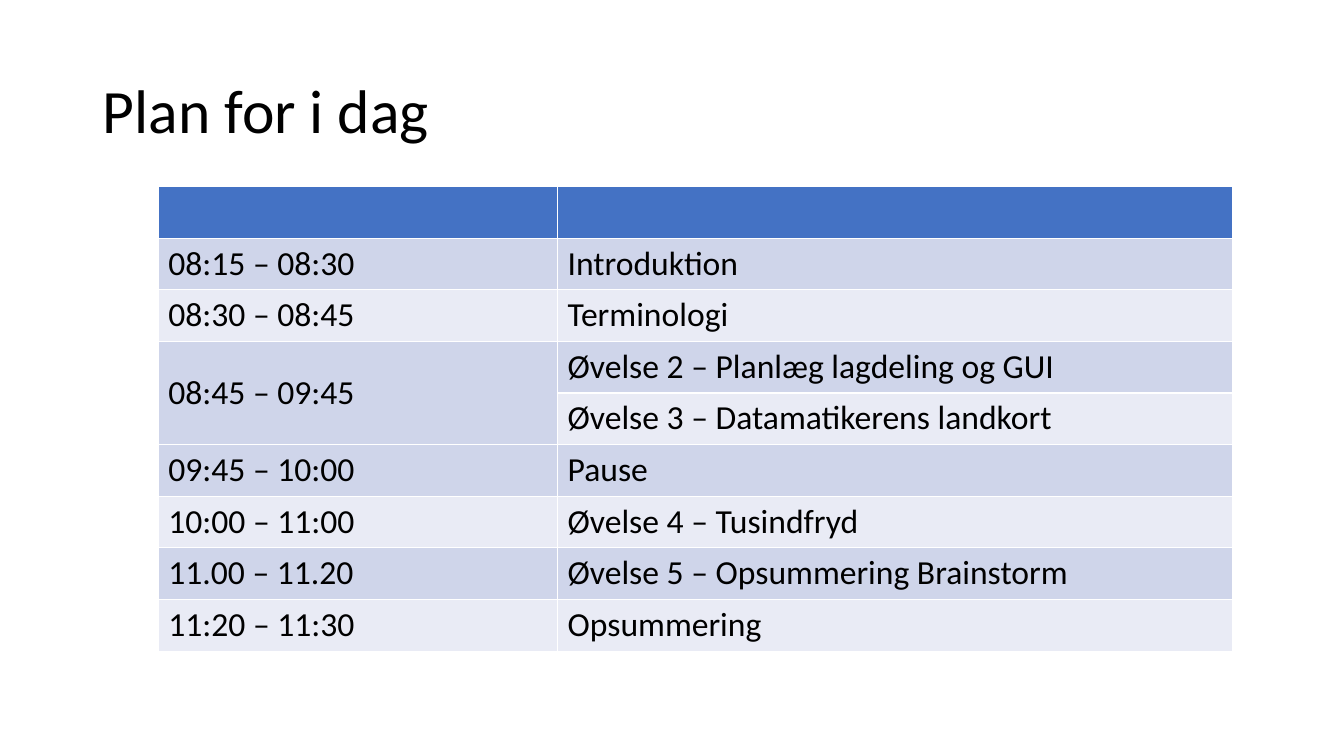
"""Build the slide with today's timetable."""
from typing import NamedTuple

from pptx import Presentation
from pptx.dml.color import RGBColor
from pptx.enum.text import MSO_ANCHOR, PP_ALIGN
from pptx.util import Inches, Pt

FONT = "Calibri"
BLACK = RGBColor(0x00, 0x00, 0x00)
HEADER_BLUE = RGBColor(0x44, 0x72, 0xC4)
BANDS = (RGBColor(0xCF, 0xD5, 0xEA), RGBColor(0xE9, 0xEB, 0xF5))
COLUMN_WIDTHS = (3.96, 6.7)
PLAN_HEIGHT = 4.61


class Session(NamedTuple):
    time: str
    activity: str


SESSIONS = (
    Session("08:15 – 08:30", "Introduktion"),
    Session("08:30 – 08:45", "Terminologi"),
    Session("08:45 – 09:45", "Øvelse 2 – Planlæg lagdeling og GUI"),
    Session("", "Øvelse 3 – Datamatikerens landkort"),
    Session("09:45 – 10:00", "Pause"),
    Session("10:00 – 11:00", "Øvelse 4 – Tusindfryd"),
    Session("11.00 – 11.20", "Øvelse 5 – Opsummering Brainstorm"),
    Session("11:20 – 11:30", "Opsummering"),
)


def add_text(paragraph, text: str, size: int) -> None:
    run = paragraph.add_run()
    run.text = text
    run.font.name = FONT
    run.font.size = Pt(size)
    run.font.color.rgb = BLACK


def fill_cell(cell, color: RGBColor) -> None:
    cell.fill.solid()
    cell.fill.fore_color.rgb = color


def add_heading(slide, text: str) -> None:
    heading = slide.shapes.title
    heading.left, heading.top = Inches(0.92), Inches(0.4)
    heading.width, heading.height = Inches(11.5), Inches(1.45)
    heading.text_frame.vertical_anchor = MSO_ANCHOR.MIDDLE
    paragraph = heading.text_frame.paragraphs[0]
    paragraph.alignment = PP_ALIGN.LEFT
    paragraph.line_spacing = 0.9
    add_text(paragraph, text, 44)


def add_plan(slide, sessions: tuple[Session, ...]) -> None:
    plan = slide.shapes.add_table(
        len(sessions) + 1, len(COLUMN_WIDTHS), Inches(1.57), Inches(1.85),
        Inches(sum(COLUMN_WIDTHS)), Inches(PLAN_HEIGHT)).table
    for column, width in zip(plan.columns, COLUMN_WIDTHS):
        column.width = Inches(width)
    for header in plan.rows[0].cells:
        fill_cell(header, HEADER_BLUE)
    for row, session in enumerate(sessions, start=1):
        for column, text in enumerate(session):
            cell = plan.cell(row, column)
            fill_cell(cell, BANDS[(row - 1) % len(BANDS)])
            if text:
                add_text(cell.text_frame.paragraphs[0], text, 24)
        if not session.time:
            shared_time = plan.cell(row - 1, 0)
            shared_time.merge(plan.cell(row, 0))
            shared_time.vertical_anchor = MSO_ANCHOR.MIDDLE


def main() -> None:
    deck = Presentation()
    deck.slide_width, deck.slide_height = Inches(13.33), Inches(7.5)
    slide = deck.slides.add_slide(deck.slide_layouts.get_by_name("Title Only"))
    add_heading(slide, "Plan for i dag")
    add_plan(slide, SESSIONS)
    deck.save("out.pptx")


if __name__ == "__main__":
    main()
